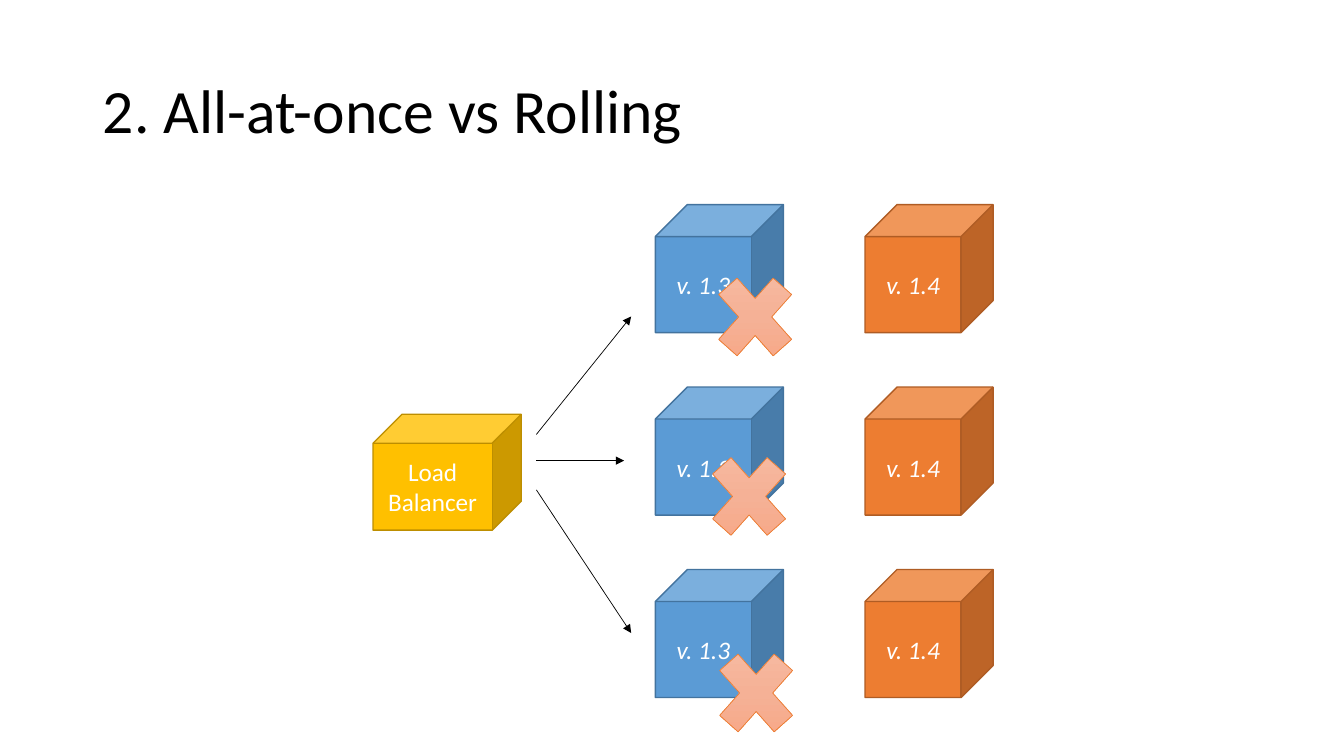
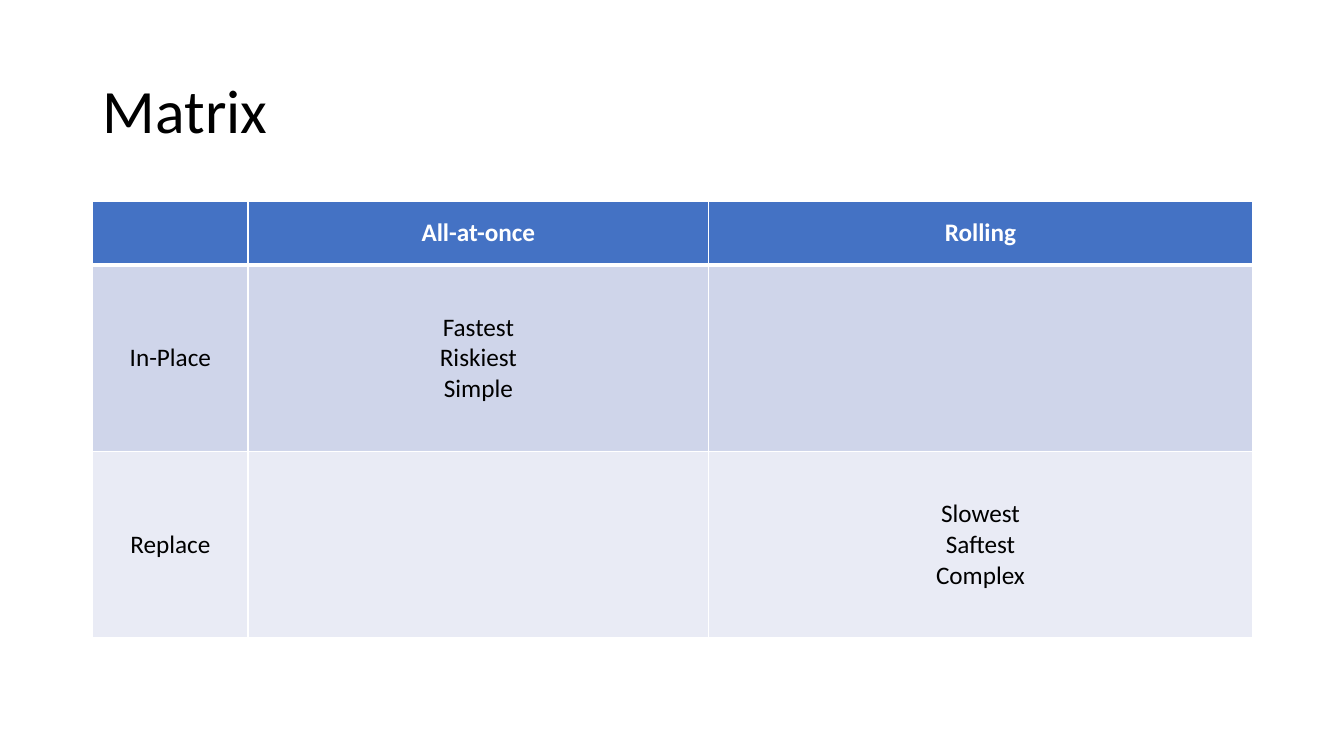
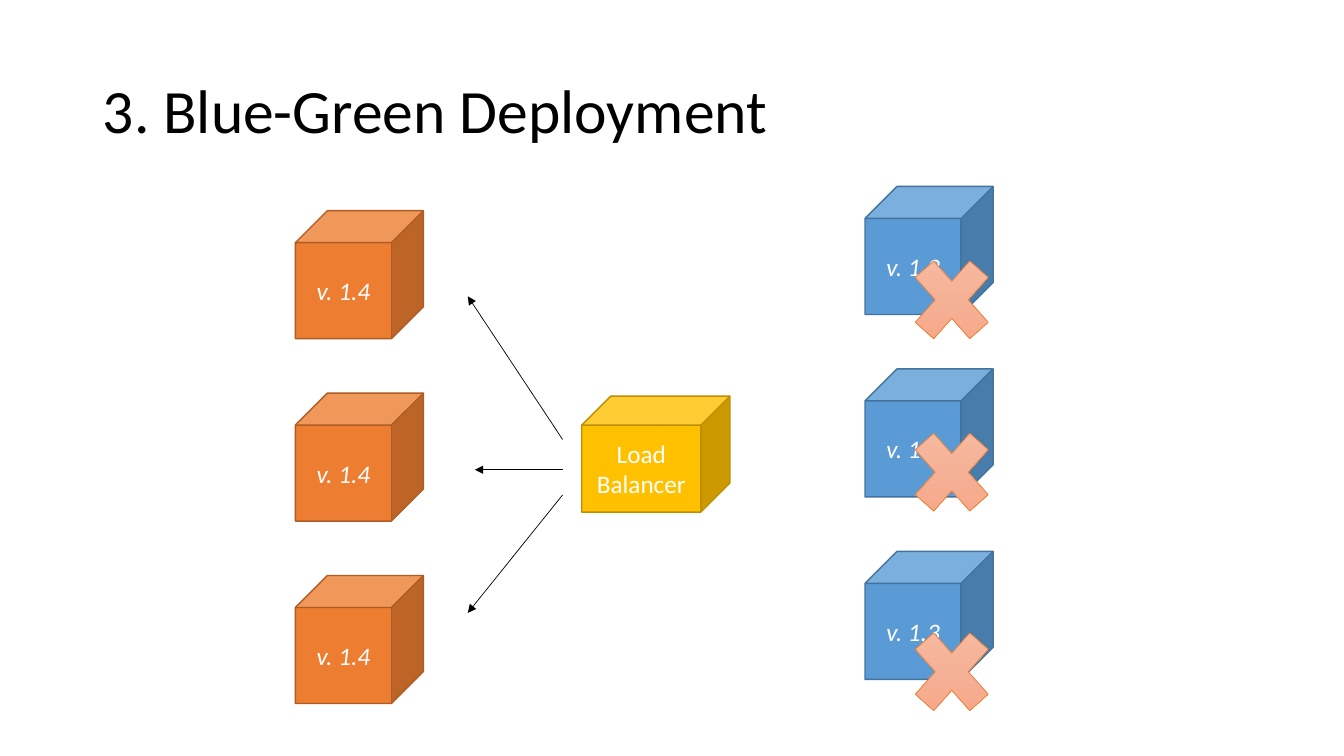
from copy import deepcopy
from dataclasses import dataclass

from lxml import etree
from pptx import Presentation
from pptx import util as u
from pptx.dml.color import RGBColor
from pptx.enum import shapes, text
from pptx.oxml import ns

PX = 9144  # EMU per px, 100 px to the inch


@dataclass(frozen=True)
class Theme:
    font: str = "Calibri"
    title_size: int = 44
    body_size: int = 18
    thin: float = 0.5
    normal: float = 1
    thick: float = 3
    black: str = "000000"
    white: str = "FFFFFF"
    header: str = "4472C4"
    bands: tuple[str, ...] = ("CFD5EA", "E9EBF5")
    cross_line: str = "ED7D31"
    cross_stops: tuple[str, ...] = ("F7BDA5", "F5B196", "F8A582")


@dataclass(frozen=True)
class CubeStyle:
    label: str
    fill: str
    line: str
    width: int = 127
    height: int = 127
    italic: bool = True


@dataclass(frozen=True)
class Column:
    """Three servers of one version, stacked from the top down."""
    style: CubeStyle
    left: int
    top: int


@dataclass(frozen=True)
class Arrow:
    x1: int
    y1: int
    x2: int
    y2: int


THEME = Theme()
OLD = CubeStyle("v. 1.3", "5B9BD5", "43739E")
NEW = CubeStyle("v. 1.4", "ED7D31", "AF5C24")
BALANCER = CubeStyle("Load\nBalancer", "FFC000", "BD8E00", 147, 115, italic=False)
SERVERS, SERVER_STEP = 3, 181
CROSS_WIDTH, CROSS_HEIGHT = 104, 117
TITLE_BOX = (92, 40, 1150, 145)


@dataclass(frozen=True)
class Deployment:
    title: str
    columns: tuple[Column, ...]
    balancer: tuple[int, int]
    arrows: tuple[Arrow, ...]
    crosses: tuple[tuple[int, int], ...]


ROLLING = Deployment(
    "2. All-at-once vs Rolling",
    (Column(OLD, 650, 203), Column(NEW, 858, 203)),
    (370, 411),
    (Arrow(532, 431, 626, 314), Arrow(532, 457, 619, 457), Arrow(532, 486, 626, 628)),
    ((697, 256), (691, 434), (698, 629)),
)
BLUE_GREEN = Deployment(
    "3. Blue-Green Deployment",
    (Column(NEW, 293, 209), Column(OLD, 858, 185)),
    (577, 393),
    (Arrow(558, 436, 464, 294), Arrow(558, 466, 471, 466), Arrow(558, 491, 464, 608)),
    ((892, 239), (892, 410), (892, 608)),
)

MATRIX_BOX = (92, 200, 1150, 433)
MATRIX_WIDTHS = (154, 457, 539)
MATRIX_HEIGHTS = (63, 185, 185)
MATRIX = (
    ("", "All-at-once", "Rolling"),
    ("In-Place", "Fastest\nRiskiest\nSimple", ""),
    ("Replace", "", "Slowest\nSaftest\nComplex"),
)


def emu(*lengths: int) -> list[u.Emu]:
    return [u.Emu(length * PX) for length in lengths]


def rgb(value: str) -> RGBColor:
    return RGBColor.from_string(value)


def style_paragraph(paragraph, size: int, color: str, align,
                    bold: bool = False, italic: bool = False) -> None:
    paragraph.alignment = align
    font = paragraph.font
    font.name, font.size = THEME.font, u.Pt(size)
    font.bold, font.italic = bold, italic
    font.color.rgb = rgb(color)


def add_titled_slide(deck, title: str):
    slide = deck.slides.add_slide(deck.slide_layouts.get_by_name("Title Only"))
    heading = slide.shapes.title
    heading.left, heading.top, heading.width, heading.height = emu(*TITLE_BOX)
    frame = heading.text_frame
    frame.text = title
    frame.vertical_anchor = text.MSO_ANCHOR.MIDDLE
    paragraph = frame.paragraphs[0]
    paragraph.line_spacing = 0.9
    style_paragraph(paragraph, THEME.title_size, THEME.black, text.PP_ALIGN.LEFT)
    return slide


def outline(shape, color: str, width: float) -> None:
    shape.line.color.rgb = rgb(color)
    shape.line.width = u.Pt(width)


def add_cube(slide, style: CubeStyle, left: int, top: int) -> None:
    cube = slide.shapes.add_shape(
        shapes.MSO_SHAPE.CUBE, *emu(left, top, style.width, style.height))
    cube.shadow.inherit = False
    cube.fill.solid()
    cube.fill.fore_color.rgb = rgb(style.fill)
    outline(cube, style.line, THEME.normal)
    cube.text_frame.vertical_anchor = text.MSO_ANCHOR.MIDDLE
    label = cube.text_frame.paragraphs[0]
    label.text = style.label
    style_paragraph(label, THEME.body_size, THEME.white, text.PP_ALIGN.CENTER,
                    italic=style.italic)


def add_cross(slide, left: int, top: int) -> None:
    """Mark a server as retired."""
    cross = slide.shapes.add_shape(
        shapes.MSO_SHAPE.MATH_MULTIPLY, *emu(left, top, CROSS_WIDTH, CROSS_HEIGHT))
    cross.shadow.inherit = False
    cross.fill.gradient()
    cross.fill.gradient_angle = 270
    stop_list = cross._element.spPr.find(".//" + ns.qn("a:gsLst"))
    stop_list.insert(1, deepcopy(stop_list[0]))
    last = len(THEME.cross_stops) - 1
    for index, stop in enumerate(cross.fill.gradient_stops):
        stop.position = index / last
        stop.color.rgb = rgb(THEME.cross_stops[index])
    outline(cross, THEME.cross_line, THEME.thin)


def add_arrow(slide, arrow: Arrow) -> None:
    line = slide.shapes.add_connector(
        shapes.MSO_CONNECTOR.STRAIGHT, *emu(arrow.x1, arrow.y1, arrow.x2, arrow.y2))
    outline(line, THEME.black, THEME.thin)
    etree.SubElement(line.line._get_or_add_ln(), ns.qn("a:tailEnd"), type="triangle")
    etree.SubElement(line._element.spPr, ns.qn("a:effectLst"))


def add_deployment(deck, deployment: Deployment) -> None:
    slide = add_titled_slide(deck, deployment.title)
    for column in deployment.columns:
        for row in range(SERVERS):
            add_cube(slide, column.style, column.left, column.top + row * SERVER_STEP)
    add_cube(slide, BALANCER, *deployment.balancer)
    for arrow in deployment.arrows:
        add_arrow(slide, arrow)
    for cross in deployment.crosses:
        add_cross(slide, *cross)


def set_borders(cell, top: float, bottom: float) -> None:
    properties = cell._tc.get_or_add_tcPr()
    widths = {"a:lnL": THEME.normal, "a:lnR": THEME.normal, "a:lnT": top, "a:lnB": bottom}
    for index, (tag, width) in enumerate(widths.items()):
        border = etree.Element(ns.qn(tag), w=str(u.Pt(width)))
        fill = etree.SubElement(border, ns.qn("a:solidFill"))
        etree.SubElement(fill, ns.qn("a:srgbClr"), val=THEME.white)
        properties.insert(index, border)


def fill_cell(cell, content: str, row: int) -> None:
    is_header = row == 0
    cell.text = content
    cell.vertical_anchor = text.MSO_ANCHOR.MIDDLE
    cell.fill.solid()
    cell.fill.fore_color.rgb = rgb(THEME.header if is_header else THEME.bands[row - 1])
    set_borders(cell, top=THEME.thick if row == 1 else THEME.normal,
                bottom=THEME.thick if is_header else THEME.normal)
    for paragraph in cell.text_frame.paragraphs:
        style_paragraph(paragraph, THEME.body_size,
                        THEME.white if is_header else THEME.black,
                        text.PP_ALIGN.CENTER, bold=is_header)


def add_matrix(deck) -> None:
    slide = add_titled_slide(deck, "Matrix")
    matrix = slide.shapes.add_table(
        len(MATRIX_HEIGHTS), len(MATRIX_WIDTHS), *emu(*MATRIX_BOX)).table
    for column, width in zip(matrix.columns, emu(*MATRIX_WIDTHS)):
        column.width = width
    for row, height in zip(matrix.rows, emu(*MATRIX_HEIGHTS)):
        row.height = height
    for row, contents in enumerate(MATRIX):
        for column, content in enumerate(contents):
            fill_cell(matrix.cell(row, column), content, row)


def main() -> None:
    deck = Presentation()
    deck.slide_width, deck.slide_height = u.Inches(13.33), u.Inches(7.5)
    add_deployment(deck, ROLLING)
    add_matrix(deck)
    add_deployment(deck, BLUE_GREEN)
    deck.save("out.pptx")


if __name__ == "__main__":
    main()
